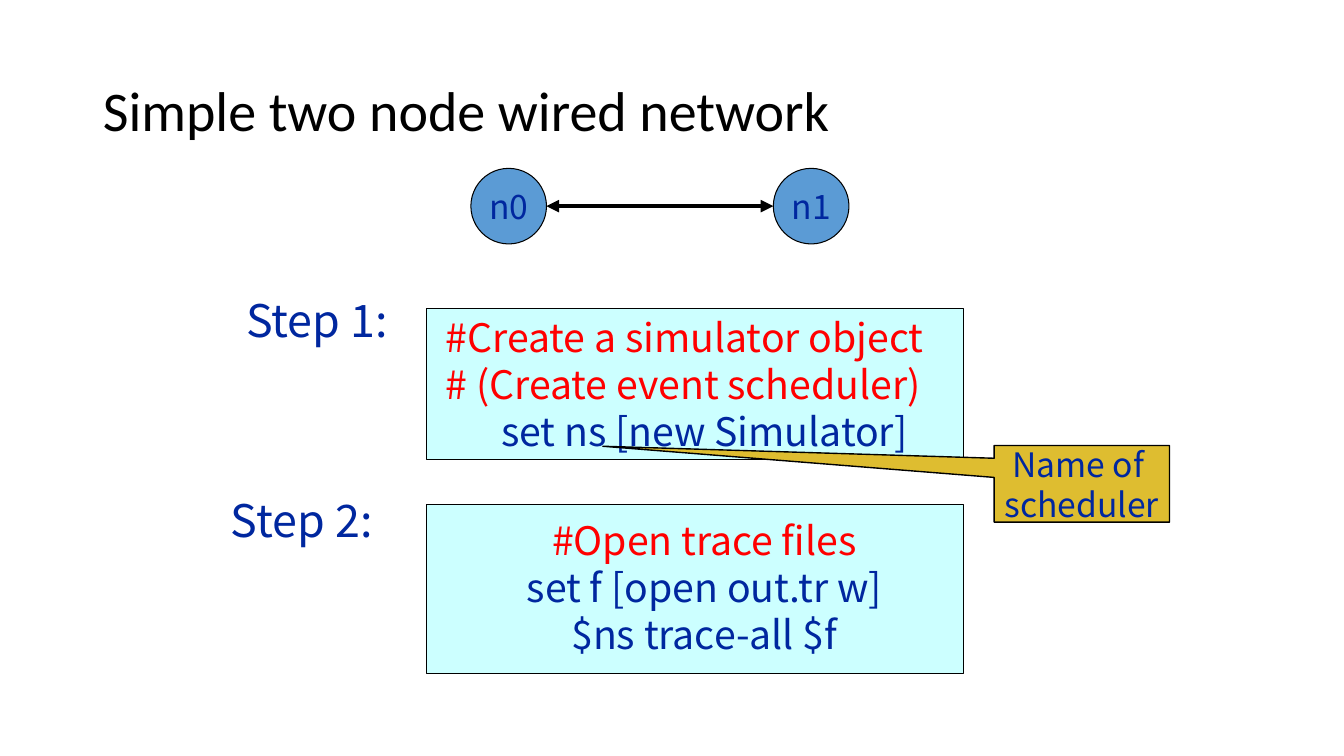
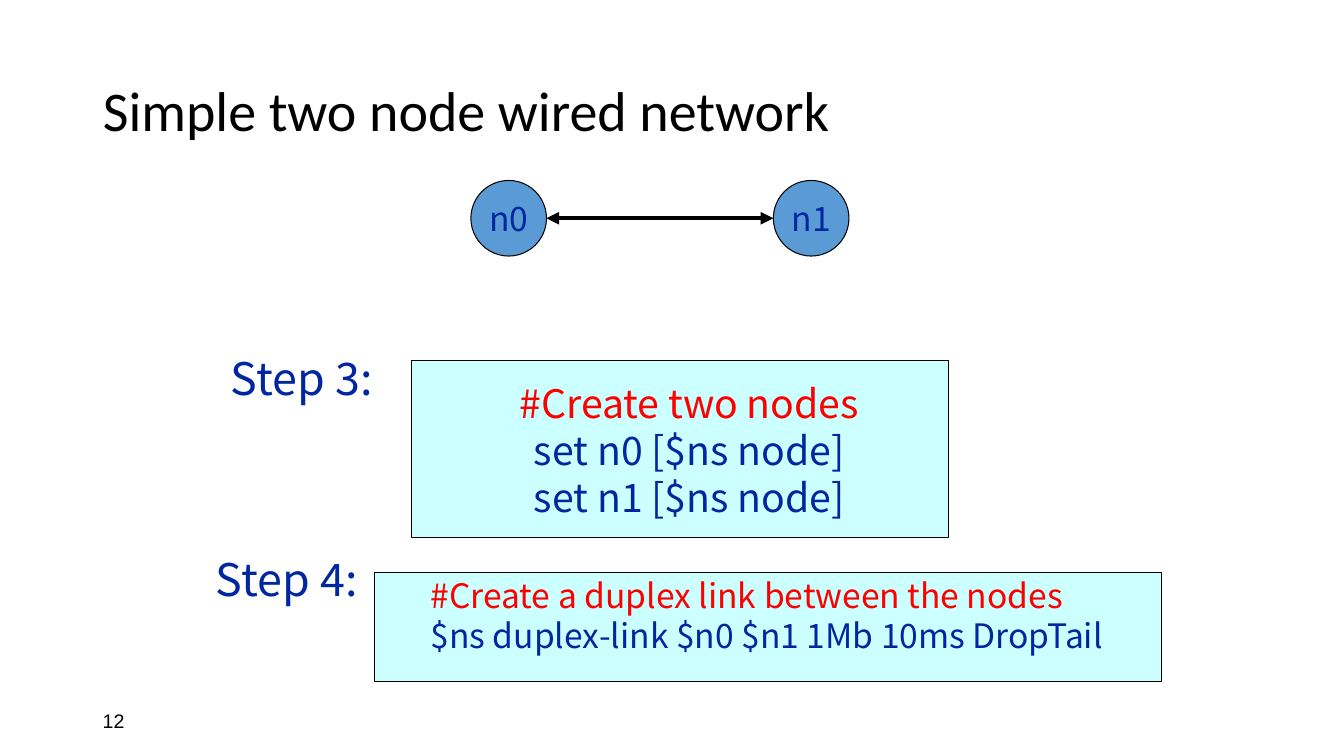
from lxml import etree
from pptx import Presentation
from pptx.dml.color import RGBColor
from pptx.enum.shapes import MSO_CONNECTOR, MSO_SHAPE as SHAPE
from pptx.enum.text import MSO_ANCHOR as ANCHOR, PP_ALIGN as ALIGN
from pptx.oxml.ns import qn
from pptx.util import Inches, Pt

BLACK = RGBColor(0x00, 0x00, 0x00)
NAVY = RGBColor(0x00, 0x27, 0x9F)
RED = RGBColor(0xFF, 0x00, 0x00)
NODE_BLUE = RGBColor(0x5B, 0x9B, 0xD5)
PALE_CYAN = RGBColor(0xCC, 0xFF, 0xFF)
GOLD = RGBColor(0xDE, 0xBD, 0x30)

TITLE_FONT, BODY_FONT, NUMBER_FONT = "Calibri", "Noto Sans CJK KR", "Arial"
LINE_HEIGHT = 1.2
NODE_SIZE = 0.75
NODE_LEFTS = {"n0": 4.67, "n1": 7.67}

LEFT, CENTER = ALIGN.LEFT, ALIGN.CENTER

# Each step: label position, panel box, text insets (left, top), size, lines
SLIDES = [
    {
        "node_top": 1.67,
        "steps": [
            ("Step 1:", (2.28, 2.86), (4.23, 3.06, 5.33, 1.5), (0.19, 0.05), 28, [
                ("#Create a simulator object", RED, LEFT),
                ("# (Create event scheduler)", RED, LEFT),
                ("set ns [new Simulator]", NAVY, CENTER)]),
            ("Step 2:", (2.13, 4.84), (4.23, 5.01, 5.33, 1.67), (0.19, 0.11), 28, [
                ("#Open trace files", RED, CENTER),
                ("set f [open out.tr w]", NAVY, CENTER),
                ("$ns trace-all $f", NAVY, CENTER)]),
        ],
        "callout": ["Name of ", "scheduler"],
    },
    {
        "node_top": 1.79,
        "steps": [
            ("Step 3:", (2.13, 3.43), (4.08, 3.58, 5.33, 1.75), (0.19, 0.18), 28, [
                ("#Create two nodes", RED, CENTER),
                ("set n0 [$ns node]", NAVY, CENTER),
                ("set n1 [$ns node]", NAVY, CENTER)]),
            ("Step 4:", (1.98, 5.42), (3.71, 5.68, 7.81, 1.08), (0.56, 0.02), 24, [
                ("#Create a duplex link between the nodes", RED, LEFT),
                ("$ns duplex-link $n0 $n1 1Mb 10ms DropTail", NAVY, LEFT)]),
        ],
        "number": "12",
    },
]


def write_lines(frame, lines, size, font=BODY_FONT, anchor=ANCHOR.MIDDLE, wrap=False):
    """Fill a text frame with (text, colour, alignment) lines."""
    frame.word_wrap = wrap
    frame.vertical_anchor = anchor
    for index, (text, color, alignment) in enumerate(lines):
        paragraph = frame.add_paragraph() if index else frame.paragraphs[0]
        paragraph.text = text
        paragraph.alignment = alignment
        paragraph.line_spacing = Pt(size * LINE_HEIGHT)
        paragraph.font.name = font
        paragraph.font.size = Pt(size)
        paragraph.font.color.rgb = color


def add_outlined_shape(slide, kind, box, fill, line_width=0.75):
    shape = slide.shapes.add_shape(kind, *map(Inches, box))
    shape.shadow.inherit = False
    shape.fill.solid()
    shape.fill.fore_color.rgb = fill
    shape.line.color.rgb = BLACK
    shape.line.width = Pt(line_width)
    return shape


prs = Presentation()
prs.slide_width, prs.slide_height = Inches(13.33), Inches(7.5)

for content in SLIDES:
    slide = prs.slides.add_slide(prs.slide_layouts[5])

    title = slide.shapes.title
    title.left, title.top = Inches(0.92), Inches(0.4)
    title.width, title.height = Inches(11.5), Inches(1.45)
    write_lines(title.text_frame, [("Simple two node wired network", BLACK, LEFT)],
                40, TITLE_FONT, wrap=True)
    title.text_frame.paragraphs[0].line_spacing = 0.9

    # Two nodes and the link between them
    node_top = content["node_top"]
    for name, left in NODE_LEFTS.items():
        node = add_outlined_shape(
            slide, SHAPE.OVAL, (left, node_top, NODE_SIZE, NODE_SIZE), NODE_BLUE)
        write_lines(node.text_frame, [(name, NAVY, CENTER)], 24)

    link_y = Inches(node_top + NODE_SIZE / 2)
    link = slide.shapes.add_connector(
        MSO_CONNECTOR.STRAIGHT, Inches(NODE_LEFTS["n0"] + NODE_SIZE), link_y,
        Inches(NODE_LEFTS["n1"]), link_y)
    link.line.color.rgb = BLACK
    link.line.width = Pt(3)
    for end in ("a:headEnd", "a:tailEnd"):
        etree.SubElement(link.line._get_or_add_ln(), qn(end), type="triangle")
    etree.SubElement(link._element.spPr, qn("a:effectLst"))

    # Step labels and their code panels
    for label, (left, top), box, (inset_left, inset_top), size, code in content["steps"]:
        step = slide.shapes.add_textbox(
            Inches(left), Inches(top), Inches(1.73), Inches(0.64))
        write_lines(step.text_frame, [(label, NAVY, CENTER)], 32, anchor=ANCHOR.TOP)

        panel = add_outlined_shape(slide, SHAPE.RECTANGLE, box, PALE_CYAN)
        frame = panel.text_frame
        frame.margin_left, frame.margin_top = Inches(inset_left), Inches(inset_top)
        frame.margin_right = Inches(0.01)
        write_lines(frame, code, size, anchor=ANCHOR.TOP, wrap=True)

    if "callout" in content:
        callout = add_outlined_shape(
            slide, SHAPE.RECTANGULAR_CALLOUT, (9.86, 4.42, 1.74, 0.76), GOLD, 1)
        callout.adjustments[0], callout.adjustments[1] = -2.73, -0.49
        write_lines(callout.text_frame,
                    [(text, NAVY, CENTER) for text in content["callout"]], 24)

    if "number" in content:
        number = slide.shapes.add_textbox(
            Inches(0.92), Inches(6.95), Inches(3), Inches(0.4))
        write_lines(number.text_frame, [(content["number"], BLACK, LEFT)],
                    14, NUMBER_FONT, wrap=True)

prs.save("out.pptx")
